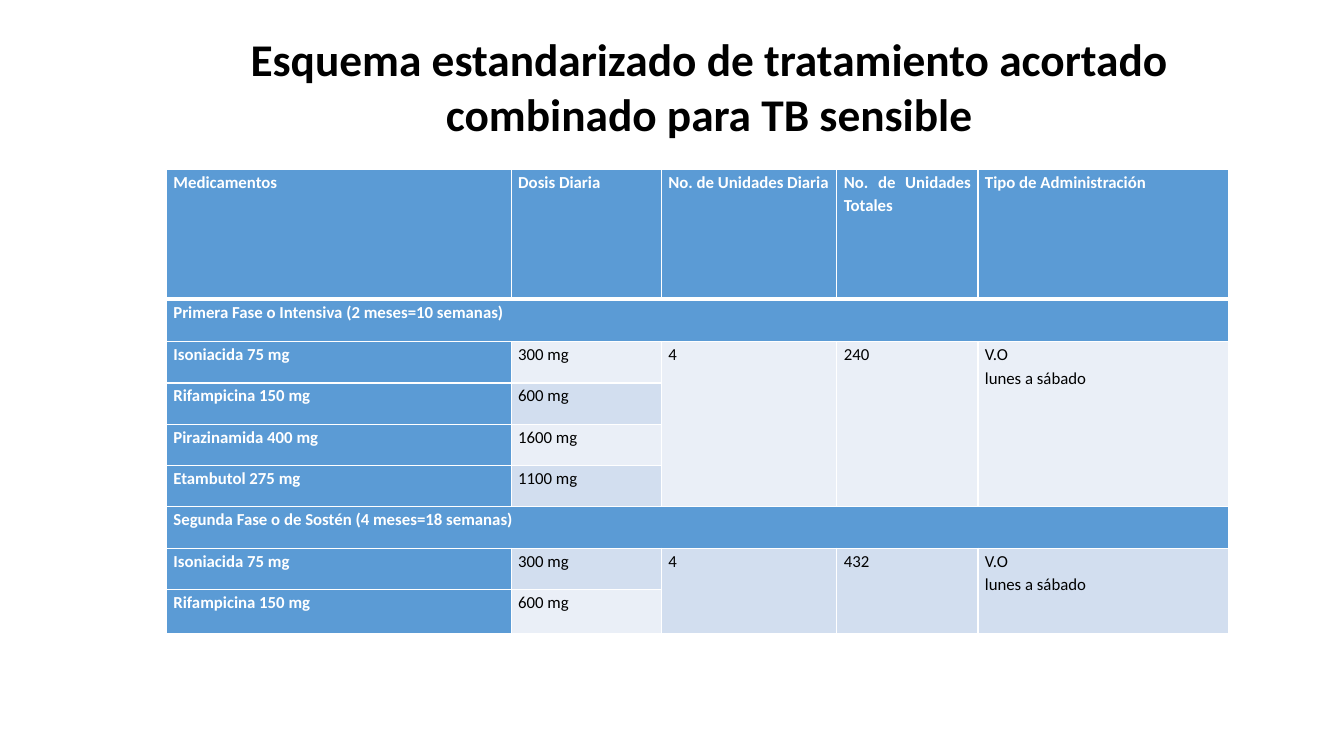
from pptx import Presentation
from pptx.dml.color import RGBColor
from pptx.enum.text import MSO_ANCHOR as Anchor, MSO_AUTO_SIZE as AutoSize, PP_ALIGN as Align
from pptx.oxml import parse_xml
from pptx.oxml.ns import nsdecls
from pptx.util import Inches, Pt

FONT = "Calibri"
WHITE, BLACK, BLUE = "FFFFFF", "000000", "5B9BD5"
BANDS = ["EAEFF7", "D2DEEF"]
COLUMN_WIDTHS = [3.42, 1.49, 1.74, 1.4, 2.49]
ROW_HEIGHTS = [1.29, 0.42] + [0.41] * 6 + [0.44]
SCHEDULE = "V.O\vlunes a sábado"
ROWS = [
    ["Medicamentos", "Dosis Diaria", "No. de Unidades Diaria",
     "No. de Unidades Totales", "Tipo de Administración"],
    ["Primera Fase o Intensiva (2 meses=10 semanas)"],
    ["Isoniacida 75 mg", "300 mg", "4", "240", SCHEDULE],
    ["Rifampicina 150 mg", "600 mg"],
    ["Pirazinamida 400 mg", "1600 mg"],
    ["Etambutol 275 mg", "1100 mg"],
    ["Segunda Fase o de Sostén (4 meses=18 semanas)"],
    ["Isoniacida 75 mg", "300 mg", "4", "432", SCHEDULE],
    ["Rifampicina 150 mg", "600 mg"],
]
PHASE_ROWS = [1, 6]
DOSE_BLOCKS = [(2, 5), (7, 8)]


def color(value):
    return RGBColor.from_string(value)


def format_para(para, size, ink, bold, align):
    para.alignment = align
    para.font.name = FONT
    para.font.size = Pt(size)
    para.font.bold = bold
    para.font.color.rgb = color(ink)


def add_title(page, left, top, width, height):
    title = page.shapes.title
    title.left, title.top = Inches(left), Inches(top)
    title.width, title.height = Inches(width), Inches(height)
    frame = title.text_frame
    frame.text = "Esquema estandarizado de tratamiento acortado combinado para TB sensible"
    frame.word_wrap = True
    frame.auto_size = AutoSize.NONE
    frame.vertical_anchor = Anchor.MIDDLE
    frame.margin_bottom = Inches(0.6)
    format_para(frame.paragraphs[0], 32.4, BLACK, True, Align.CENTER)


def set_borders(cell, row):
    widths = {"L": 1, "R": 1, "T": 3 if row == 1 else 1, "B": 3 if row == 0 else 1}
    properties = cell._tc.get_or_add_tcPr()
    for side, width in widths.items():
        properties.append(parse_xml(
            f'<a:ln{side} {nsdecls("a")} w="{Pt(width)}"><a:solidFill>'
            f'<a:srgbClr val="{WHITE}"/></a:solidFill></a:ln{side}>'))


def format_cell(cell, row, column):
    heading = row == 0 or row in PHASE_ROWS or column == 0
    cell.margin_left = cell.margin_right = Inches(0.07)
    cell.margin_top = cell.margin_bottom = 0
    set_borders(cell, row)
    cell.fill.solid()
    cell.fill.fore_color.rgb = color(BLUE if heading else BANDS[row % 2])
    align = Align.LEFT if column == 4 and row > 0 else Align.JUSTIFY
    para = cell.text_frame.paragraphs[0]
    format_para(para, 12, WHITE if heading else BLACK, heading, align)
    para.line_spacing = 1.15
    para.space_after = Pt(10)


def add_treatment_table(page, left, top, width, height):
    table = page.shapes.add_table(
        len(ROWS), len(COLUMN_WIDTHS),
        Inches(left), Inches(top), Inches(width), Inches(height)).table
    for column, column_width in zip(table.columns, COLUMN_WIDTHS):
        column.width = Inches(column_width)
    for row, row_height in zip(table.rows, ROW_HEIGHTS):
        row.height = Inches(row_height)
    for row, texts in enumerate(ROWS):
        for column, text in enumerate(texts):
            table.cell(row, column).text = text
        for column in range(len(COLUMN_WIDTHS)):
            format_cell(table.cell(row, column), row, column)
    for row in PHASE_ROWS:
        table.cell(row, 0).merge(table.cell(row, 4))
    for first, last in DOSE_BLOCKS:
        for column in range(2, 5):
            table.cell(first, column).merge(table.cell(last, column))


def main():
    deck = Presentation()
    deck.slide_width, deck.slide_height = Inches(13.33), Inches(7.5)
    page = deck.slides.add_slide(deck.slide_layouts[5])
    add_title(page, 1.65, 0.4, 10.77, 1.45)
    add_treatment_table(page, 1.65, 1.68, 10.54, 4.62)
    deck.save("out.pptx")


if __name__ == "__main__":
    main()
